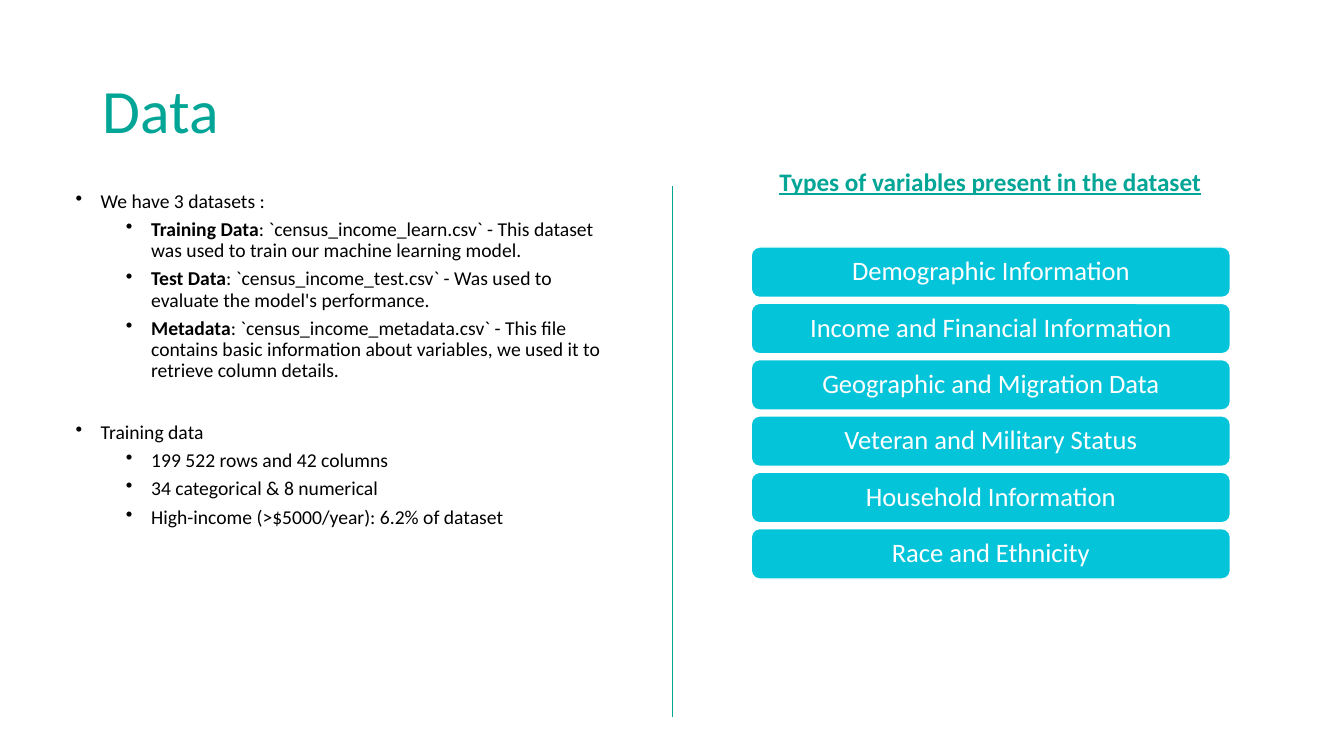
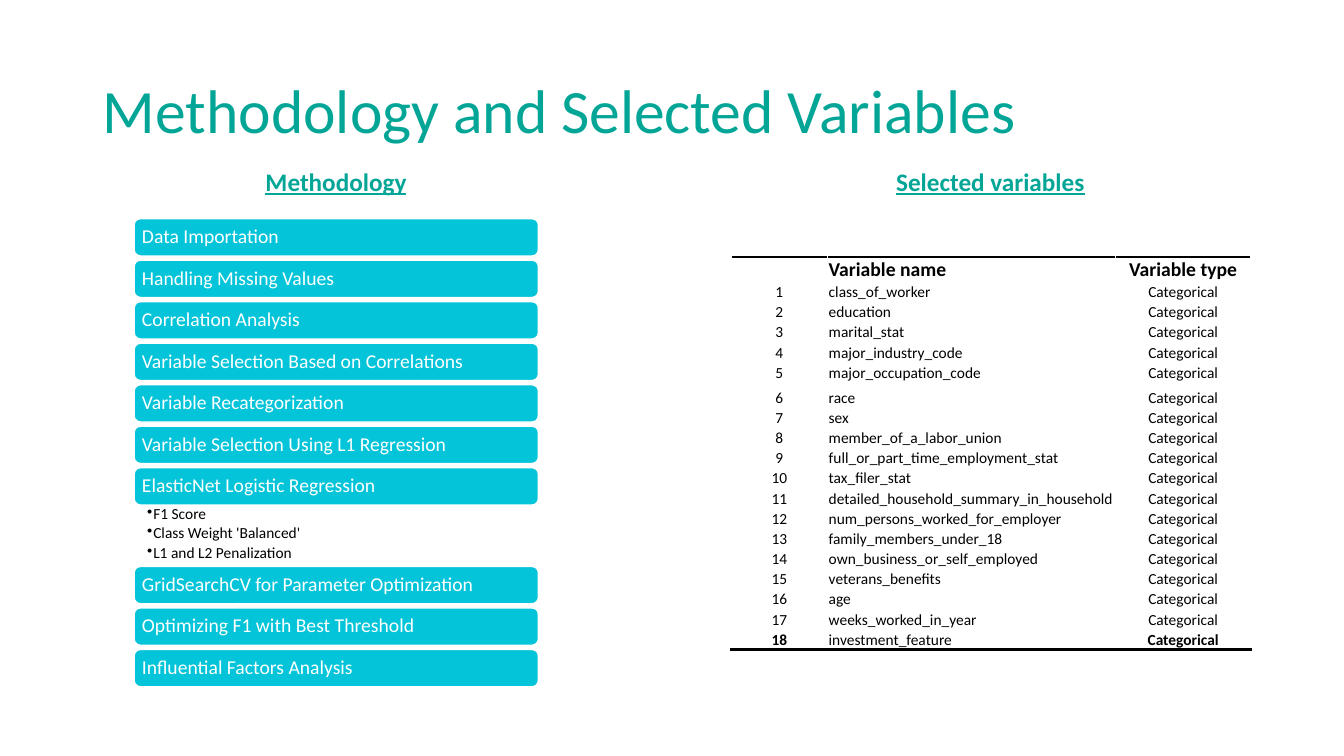
from typing import NamedTuple, Sequence

from lxml import etree
from pptx import Presentation
from pptx.dml.color import RGBColor
from pptx.enum.shapes import MSO_CONNECTOR, MSO_SHAPE
from pptx.enum.text import MSO_ANCHOR, PP_ALIGN
from pptx.oxml.ns import qn
from pptx.util import Emu, Inches, Pt

LEFT, CENTER = PP_ALIGN.LEFT, PP_ALIGN.CENTER
TOP, MIDDLE, BOTTOM = MSO_ANCHOR.TOP, MSO_ANCHOR.MIDDLE, MSO_ANCHOR.BOTTOM
ROUNDED = MSO_SHAPE.ROUNDED_RECTANGLE
STRAIGHT = MSO_CONNECTOR.STRAIGHT

FONT = "Calibri"
GREEN, CYAN, BLACK, WHITE = "03A696", "04C4D9", "000000", "FFFFFF"
SLIDE_WIDTH, SLIDE_HEIGHT = Inches(13.33), Inches(7.5)
TIGHT = 0.9


class Area(NamedTuple):
    """A place on the slide, in percent of its width and height."""
    left: float
    top: float
    width: float
    height: float


class Style(NamedTuple):
    size: float
    color: str = BLACK
    bold: bool = False
    underline: bool = False


class Insets(NamedTuple):
    left: float = 0.1
    top: float = 0.05
    right: float = 0.1
    bottom: float = 0.05


class Bullet(NamedTuple):
    text: str
    lead: str = ""
    level: int = 0
    before: float = 5


class BulletStyle(NamedTuple):
    font: Style
    indents: Sequence[float]
    hanging: float
    after: float = 0


class BarStyle(NamedTuple):
    font: Style
    align: PP_ALIGN
    inset: float
    pitch: float


TITLE_AREA = Area(6.9, 5.33, 86.25, 19.33)
LEFT_HEADING = Area(0, 21.33, 50, 5.33)
RIGHT_HEADING = Area(48.69, 21.33, 50, 5.33)
TITLE = Style(44, GREEN)
HEADING = Style(18, GREEN, bold=True, underline=True)

DATASET_BULLETS = BulletStyle(Style(14), indents=(0.25, 0.75), hanging=0.25)
SCORE_BULLETS = BulletStyle(Style(11), indents=(0.06,), hanging=0.06, after=2)
TYPE_BARS = BarStyle(Style(19, WHITE), CENTER, inset=0.08, pitch=7.45)
STEP_BARS = BarStyle(Style(14, WHITE), LEFT, inset=0.06, pitch=5.49)

DATASET_FACTS = [
    Bullet("We have 3 datasets :", before=0),
    Bullet(": `census_income_learn.csv` - This dataset was used to train our "
           "machine learning model.", "Training Data", 1),
    Bullet(": `census_income_test.csv` - Was used to evaluate the model's "
           "performance.", "Test Data", 1),
    Bullet(": `census_income_metadata.csv` - This file contains basic information "
           "about variables, we used it to retrieve column details.", "Metadata", 1),
    Bullet("Training data", before=29),
    Bullet("199 522 rows and 42 columns", level=1),
    Bullet("34 categorical & 8 numerical", level=1),
    Bullet("High-income (>$5000/year): 6.2% of dataset", level=1),
]
VARIABLE_TYPES = [
    "Demographic Information", "Income and Financial Information",
    "Geographic and Migration Data", "Veteran and Military Status",
    "Household Information", "Race and Ethnicity",
]
MODEL_STEPS = [
    "Data Importation", "Handling Missing Values", "Correlation Analysis",
    "Variable Selection Based on Correlations", "Variable Recategorization",
    "Variable Selection Using L1 Regression", "ElasticNet Logistic Regression",
]
MODEL_DETAILS = [
    Bullet(text, before=0)
    for text in ("F1 Score", "Class Weight 'Balanced'", "L1 and L2 Penalization")
]
TUNING_STEPS = [
    "GridSearchCV for Parameter Optimization", "Optimizing F1 with Best Threshold",
    "Influential Factors Analysis",
]
SELECTED_VARIABLES = [
    "class_of_worker", "education", "marital_stat", "major_industry_code",
    "major_occupation_code", "race", "sex", "member_of_a_labor_union",
    "full_or_part_time_employment_stat", "tax_filer_stat",
    "detailed_household_summary_in_household", "num_persons_worked_for_employer",
    "family_members_under_18", "own_business_or_self_employed",
    "veterans_benefits", "age", "weeks_worked_in_year", "investment_feature",
]


def rgb(value: str) -> RGBColor:
    return RGBColor.from_string(value)


def across(percent: float) -> Emu:
    return Emu(round(SLIDE_WIDTH * percent / 100))


def down(percent: float) -> Emu:
    return Emu(round(SLIDE_HEIGHT * percent / 100))


def place(area: Area) -> tuple:
    return across(area.left), down(area.top), across(area.width), down(area.height)


def add_run(paragraph, text: str, style: Style) -> None:
    run = paragraph.add_run()
    run.text = text
    font = run.font
    font.name, font.size = FONT, Pt(style.size)
    font.bold, font.underline = style.bold, style.underline
    font.color.rgb = rgb(style.color)


def set_frame(frame, anchor: MSO_ANCHOR, insets: Insets) -> None:
    frame.word_wrap = True
    frame.vertical_anchor = anchor
    frame.margin_left, frame.margin_top = Inches(insets.left), Inches(insets.top)
    frame.margin_right, frame.margin_bottom = Inches(insets.right), Inches(insets.bottom)


def add_text(slide, area: Area, text: str, style: Style, align: PP_ALIGN = LEFT,
             anchor: MSO_ANCHOR = TOP, spacing: float = 1.0) -> None:
    frame = slide.shapes.add_textbox(*place(area)).text_frame
    set_frame(frame, anchor, Insets())
    paragraph = frame.paragraphs[0]
    paragraph.alignment, paragraph.line_spacing = align, spacing
    add_run(paragraph, text, style)


def add_heading(slide, area: Area, text: str) -> None:
    add_text(slide, area, text, HEADING, CENTER)


def add_titled_slide(deck, title: str):
    slide = deck.slides.add_slide(deck.slide_layouts[6])
    add_text(slide, TITLE_AREA, title, TITLE, anchor=MIDDLE, spacing=TIGHT)
    return slide


def add_bullets(slide, area: Area, bullets: Sequence[Bullet], style: BulletStyle,
                insets: Insets = Insets()) -> None:
    frame = slide.shapes.add_textbox(*place(area)).text_frame
    set_frame(frame, TOP, insets)
    for index, bullet in enumerate(bullets):
        paragraph = frame.add_paragraph() if index else frame.paragraphs[0]
        paragraph.level, paragraph.line_spacing = bullet.level, TIGHT
        paragraph.space_before, paragraph.space_after = Pt(bullet.before), Pt(style.after)
        properties = paragraph._p.get_or_add_pPr()
        properties.set("marL", str(Inches(style.indents[bullet.level])))
        properties.set("indent", str(-Inches(style.hanging)))
        etree.SubElement(properties, qn("a:buChar"), char="•")
        if bullet.lead:
            add_run(paragraph, bullet.lead, style.font._replace(bold=True))
        add_run(paragraph, bullet.text, style.font)


def add_bars(slide, first: Area, labels: Sequence[str], style: BarStyle) -> None:
    """Stack one labelled bar per label, downwards from the first area."""
    for index, label in enumerate(labels):
        area = first._replace(top=first.top + index * style.pitch)
        bar = slide.shapes.add_shape(ROUNDED, *place(area))
        bar.shadow.inherit = False
        bar.fill.solid()
        bar.fill.fore_color.rgb = rgb(CYAN)
        bar.line.color.rgb = rgb(WHITE)
        bar.line.width = Pt(1)
        set_frame(bar.text_frame, MIDDLE, Insets(style.inset, 0, style.inset, 0))
        paragraph = bar.text_frame.paragraphs[0]
        paragraph.alignment, paragraph.line_spacing = style.align, TIGHT
        add_run(paragraph, label, style.font)


def add_divider(slide, x: float, top: float, bottom: float) -> None:
    divider = slide.shapes.add_connector(
        STRAIGHT, across(x), down(top), across(x), down(bottom))
    divider.line.color.rgb = rgb(GREEN)
    divider.line.width = Pt(0.5)
    etree.SubElement(divider._element.spPr, qn("a:effectLst"))


def add_rule(cell, side: str) -> None:
    """Draw a black rule on the cell's lnT or lnB side."""
    rule = etree.Element(qn(f"a:{side}"), w=str(Pt(2)))
    fill = etree.SubElement(rule, qn("a:solidFill"))
    etree.SubElement(fill, qn("a:srgbClr"), val=BLACK)
    cell._tc.get_or_add_tcPr().insert(0, rule)


def fill_cell(cell, text: str, style: Style, align: PP_ALIGN) -> None:
    cell.fill.solid()
    cell.fill.fore_color.rgb = rgb(WHITE)
    cell.vertical_anchor = BOTTOM
    cell.margin_left = cell.margin_right = cell.margin_top = Inches(0.01)
    cell.margin_bottom = 0
    paragraph = cell.text_frame.paragraphs[0]
    paragraph.alignment = align
    if text:
        add_run(paragraph, text, style)
    else:
        etree.SubElement(paragraph._p, qn("a:endParaRPr"), sz=str(round(style.size * 100)))


def add_variable_table(slide, area: Area, names: Sequence[str]) -> None:
    rows = [("", "Variable name", "Variable type")]
    rows += [(str(number), name, "Categorical") for number, name in enumerate(names, 1)]
    last = len(rows) - 1
    table = slide.shapes.add_table(len(rows), 3, *place(area)).table
    table.first_row = table.horz_banding = False
    for column, width in zip(table.columns, (7.2, 21.4, 10.1)):
        column.width = across(width)
    special_heights = {0: 3.2, 6: 3.33}
    for r, texts in enumerate(rows):
        table.rows[r].height = down(special_heights.get(r, 2.67))
        for c, text in enumerate(texts):
            cell = table.cell(r, c)
            bold = r == 0 or (r == last and c != 1)
            style = Style(11 if r else 14, bold=bold)
            fill_cell(cell, text, style, LEFT if c == 1 else CENTER)
            if r in (0, last):
                add_rule(cell, "lnB" if r else "lnT")


def add_data_slide(deck) -> None:
    slide = add_titled_slide(deck, "Data")
    add_bullets(slide, Area(4.88, 24.67, 41.7, 63.47), DATASET_FACTS, DATASET_BULLETS)
    add_divider(slide, 50.04, 24.67, 94.8)
    add_heading(slide, RIGHT_HEADING, "Types of variables present in the dataset")
    add_bars(slide, Area(55.9, 32.67, 35.65, 6.67), VARIABLE_TYPES, TYPE_BARS)


def add_methodology_slide(deck) -> None:
    slide = add_titled_slide(deck, "Methodology and Selected Variables")
    add_heading(slide, LEFT_HEADING, "Methodology")
    first_step = Area(9.98, 28.93, 30.08, 4.93)
    add_bars(slide, first_step, MODEL_STEPS, STEP_BARS)
    add_bullets(slide, first_step._replace(top=66.67, height=8.27), MODEL_DETAILS,
                SCORE_BULLETS, Insets(0.13, 0.02, 0.11, 0.02))
    add_bars(slide, first_step._replace(top=74.93), TUNING_STEPS, STEP_BARS)
    add_heading(slide, RIGHT_HEADING, "Selected variables")
    add_variable_table(slide, Area(54.39, 34, 38.7, 51.9), SELECTED_VARIABLES)


def main() -> None:
    deck = Presentation()
    deck.slide_width, deck.slide_height = SLIDE_WIDTH, SLIDE_HEIGHT
    add_data_slide(deck)
    add_methodology_slide(deck)
    deck.save("out.pptx")


if __name__ == "__main__":
    main()
